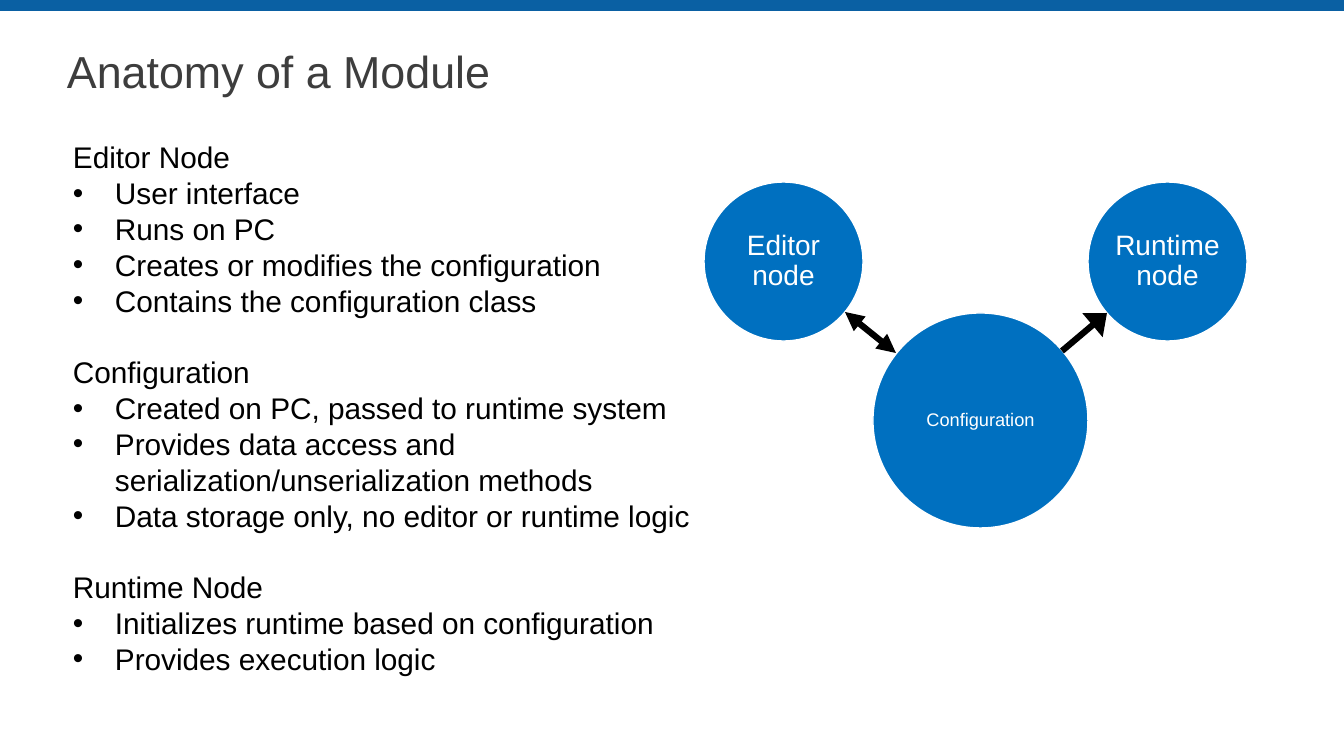
from dataclasses import dataclass

from lxml.etree import SubElement
from pptx import Presentation
from pptx.dml.color import RGBColor
from pptx.enum.shapes import MSO_CONNECTOR, MSO_SHAPE
from pptx.enum.text import MSO_ANCHOR, PP_ALIGN
from pptx.oxml.ns import qn
from pptx.slide import Slide
from pptx.text.text import TextFrame, _Paragraph
from pptx.util import Emu, Pt


@dataclass(frozen=True)
class Theme:
    font: str = "Arial"
    bar: RGBColor = RGBColor(0x0A, 0x60, 0xA3)
    node: RGBColor = RGBColor(0x00, 0x70, 0xC0)
    title: RGBColor = RGBColor(0x3D, 0x3D, 0x3D)
    white: RGBColor = RGBColor(0xFF, 0xFF, 0xFF)
    black: RGBColor = RGBColor(0x00, 0x00, 0x00)
    title_size: float = 32
    body_size: float = 21.3
    body_pitch: float = 25.6
    node_size: float = 20
    small_size: float = 13
    arrow_width: float = 4.5


@dataclass(frozen=True)
class Section:
    heading: str
    bullets: tuple[str, ...]


@dataclass(frozen=True)
class Node:
    label: str
    left: int
    top: int
    diameter: int
    size: float


@dataclass(frozen=True)
class Arrow:
    start: tuple[int, int]
    end: tuple[int, int]
    ends: tuple[str, ...]
    head_width: str


THEME = Theme()

SECTIONS = (
    Section("Editor Node", (
        "User interface",
        "Runs on PC",
        "Creates or modifies the configuration",
        "Contains the configuration class",
    )),
    Section("Configuration", (
        "Created on PC, passed to runtime system",
        "Provides data access and serialization/unserialization methods",
        "Data storage only, no editor or runtime logic",
    )),
    Section("Runtime Node", (
        "Initializes runtime based on configuration",
        "Provides execution logic",
    )),
)

NODES = (
    Node("Configuration", 873, 313, 215, THEME.small_size),
    Node("Editor node", 704, 182, 159, THEME.node_size),
    Node("Runtime node", 1088, 182, 159, THEME.node_size),
)

ARROWS = (
    Arrow((896, 353), (845, 312), ("headEnd", "tailEnd"), "med"),
    Arrow((1062, 351), (1107, 313), ("tailEnd",), "lg"),
)


def px(n: int) -> Emu:
    return Emu(round(n * 914400 / 100.8))


def add_run(p: _Paragraph, text: str, size: float, color: RGBColor) -> None:
    r = p.add_run()
    r.text = text
    r.font.name = THEME.font
    r.font.size = Pt(size)
    r.font.color.rgb = color


def set_frame(tf: TextFrame, side: int, edge: int, anchor: MSO_ANCHOR) -> None:
    tf.word_wrap = True
    tf.vertical_anchor = anchor
    tf.margin_left = tf.margin_right = px(side)
    tf.margin_top = tf.margin_bottom = px(edge)


def add_text_box(s: Slide, left: int, top: int, width: int, height: int,
                 anchor: MSO_ANCHOR) -> TextFrame:
    tf = s.shapes.add_textbox(px(left), px(top), px(width), px(height)).text_frame
    set_frame(tf, 0, 5, anchor)
    return tf


def add_bar(s: Slide) -> None:
    sp = s.shapes.add_shape(MSO_SHAPE.RECTANGLE, 0, 0, px(1344), px(11))
    sp.shadow.inherit = False
    sp.fill.solid()
    sp.fill.fore_color.rgb = THEME.bar
    sp.line.fill.background()


def add_title(s: Slide, text: str) -> None:
    p = add_text_box(s, 67, 40, 1210, 68, MSO_ANCHOR.MIDDLE).paragraphs[0]
    p.line_spacing = 0.9
    add_run(p, text, THEME.title_size, THEME.title)


def add_bullet(p: _Paragraph) -> None:
    pPr = p._p.get_or_add_pPr()
    pPr.set("marL", str(px(42)))
    pPr.set("indent", str(-px(42)))
    SubElement(pPr, qn("a:buFont"), typeface=THEME.font)
    SubElement(pPr, qn("a:buChar"), char="•")


def add_sections(s: Slide, sections: tuple[Section, ...]) -> None:
    tf = add_text_box(s, 73, 134, 625, 553, MSO_ANCHOR.TOP)
    for i, section in enumerate(sections):
        for j, text in enumerate((section.heading, *section.bullets)):
            p = tf.add_paragraph() if i or j else tf.paragraphs[0]
            p.line_spacing = Pt(THEME.body_pitch)
            if j:
                add_bullet(p)
            elif i:
                p.space_before = Pt(THEME.body_pitch)
            add_run(p, text, THEME.body_size, THEME.black)


def add_node(s: Slide, node: Node) -> None:
    sp = s.shapes.add_shape(MSO_SHAPE.OVAL, px(node.left), px(node.top),
                            px(node.diameter), px(node.diameter))
    sp.shadow.inherit = False
    sp.fill.solid()
    sp.fill.fore_color.rgb = THEME.node
    sp.line.color.rgb = THEME.white
    sp.line.width = Pt(1)
    set_frame(sp.text_frame, 1, 1, MSO_ANCHOR.MIDDLE)
    p = sp.text_frame.paragraphs[0]
    p.alignment = PP_ALIGN.CENTER
    p.line_spacing = 0.9
    add_run(p, node.label, node.size, THEME.white)


def add_arrow(s: Slide, arrow: Arrow) -> None:
    c = s.shapes.add_connector(MSO_CONNECTOR.STRAIGHT,
                               *map(px, arrow.start + arrow.end))
    c.line.color.rgb = THEME.black
    c.line.width = Pt(THEME.arrow_width)
    ln = c.line._get_or_add_ln()
    for end in arrow.ends:
        SubElement(ln, qn(f"a:{end}"), type="triangle", w=arrow.head_width, len="med")
    SubElement(c._element.spPr, qn("a:effectLst"))


def main() -> None:
    prs = Presentation()
    prs.slide_width, prs.slide_height = px(1344), px(756)
    s = prs.slides.add_slide(prs.slide_layouts[6])
    add_bar(s)
    add_title(s, "Anatomy of a Module")
    for node in NODES:
        add_node(s, node)
    for arrow in ARROWS:
        add_arrow(s, arrow)
    add_sections(s, SECTIONS)
    prs.save("out.pptx")


if __name__ == "__main__":
    main()
